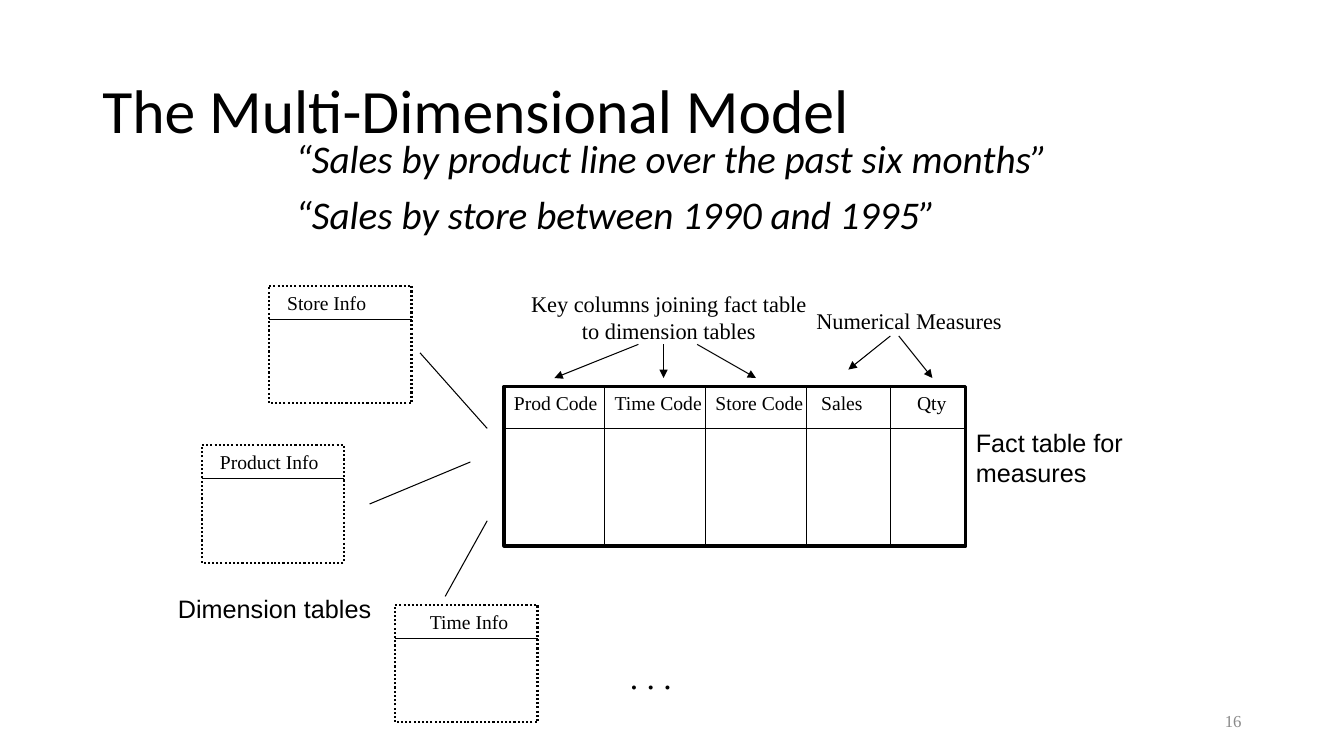
import pptx
import pptx.dml.color
import pptx.enum.dml
import pptx.enum.shapes
import pptx.enum.text
import pptx.util
from lxml import etree

Pt = pptx.util.Pt
ALIGN = pptx.enum.text.PP_ALIGN
ANCHOR = pptx.enum.text.MSO_ANCHOR
COLOURS = {"ink": "000000", "page_number": "898989"}

SERIF = "Times New Roman"
TITLE = {"name": "Calibri", "size": Pt(44)}
QUERY = {"name": "Calibri", "size": Pt(28), "italic": True}
HEADER = {"name": SERIF, "size": Pt(14)}
NOTE = {"name": SERIF, "size": Pt(16)}
ELLIPSIS = {"name": SERIF, "size": Pt(24)}
PAGE_NUMBER = {"name": SERIF, "size": Pt(12)}
CAPTION = {"name": "Arial", "size": Pt(18)}

# Fact table: left, top, width, height, then the inner column edges
FACT_TABLE = (360, 276, 330, 114)
HEADER_RULE = 306
COLUMN_EDGES = (432, 504, 576, 636)
HEADER_TABS = (72, 144, 219.5, 288)

DIMENSION_SIZE = (102, 84)
# Name, left, top, label offset, label width
DIMENSIONS = [
    ("Store Info", 192, 204, 6, 74),
    ("Product Info", 144, 318, 6, 88),
    ("Time Info", 282, 432, 18, 74),
]
JOINS = [(300, 252, 348, 306), (264, 360, 336, 330), (318, 426, 348, 372)]
ARROWS = [
    (636, 240, 606, 264),
    (642, 240, 666, 270),
    (456, 246, 396, 270),
    (474, 246, 474, 270),
    (498, 246, 540, 270),
]


def colour(name):
    return pptx.dml.color.RGBColor.from_string(COLOURS[name])


def add_text(slide, box, lines, font, ink="ink", wrap=False,
             anchor=ANCHOR.TOP, tabs=(), hanging=0, **paragraph_format):
    shape = slide.shapes.add_textbox(*map(Pt, box))
    frame = shape.text_frame
    frame.word_wrap = wrap
    frame.vertical_anchor = anchor
    if not wrap:
        frame.auto_size = pptx.enum.text.MSO_AUTO_SIZE.SHAPE_TO_FIT_TEXT
    for index, line in enumerate(lines):
        paragraph = frame.paragraphs[0] if index == 0 else frame.add_paragraph()
        paragraph.text = line
        set_indent_and_tabs(paragraph, hanging, tabs)
        for attribute, value in paragraph_format.items():
            if index or attribute != "space_before":
                setattr(paragraph, attribute, value)
        for run in paragraph.runs:
            for attribute, value in font.items():
                setattr(run.font, attribute, value)
            run.font.color.rgb = colour(ink)


def set_indent_and_tabs(paragraph, hanging, tabs):
    properties = paragraph._p.get_or_add_pPr()
    if hanging:
        properties.set("marL", str(Pt(hanging)))
        properties.set("indent", str(-Pt(hanging)))
    if tabs:
        namespace = "{" + properties.nsmap["a"] + "}"
        tab_list = etree.SubElement(properties, namespace + "tabLst")
        for position in tabs:
            etree.SubElement(tab_list, namespace + "tab",
                             pos=str(Pt(position)), algn="l")


def add_outline(slide, box, width, dash=None):
    shape = slide.shapes.add_shape(
        pptx.enum.shapes.MSO_SHAPE.RECTANGLE, *map(Pt, box))
    shape.shadow.inherit = False
    shape.fill.background()
    shape.line.color.rgb = colour("ink")
    shape.line.width = Pt(width)
    if dash:
        shape.line.dash_style = dash


def add_line(slide, ends, arrow=False):
    connector = slide.shapes.add_connector(
        pptx.enum.shapes.MSO_CONNECTOR.STRAIGHT, *map(Pt, ends))
    connector.line.color.rgb = colour("ink")
    connector.line.width = Pt(0.75)
    properties = connector._element.spPr
    namespace = "{" + properties.nsmap["a"] + "}"
    if arrow:
        etree.SubElement(connector.line._get_or_add_ln(),
                         namespace + "tailEnd", type="triangle")
    etree.SubElement(properties, namespace + "effectLst")


def add_fact_table(slide):
    left, top, width, height = FACT_TABLE
    add_outline(slide, FACT_TABLE, 2.25)
    add_text(slide, (left, top, 374, 24),
             ["Prod Code\tTime Code\tStore Code\tSales\tQty"],
             HEADER, tabs=HEADER_TABS)
    add_line(slide, (left, HEADER_RULE, left + width, HEADER_RULE))
    for edge in COLUMN_EDGES:
        add_line(slide, (edge, top, edge, top + height))


def add_dimension_table(slide, name, left, top, label_offset, label_width):
    width, height = DIMENSION_SIZE
    # The "sysDot" preset dash
    add_outline(slide, (left, top, width, height), 1.5,
                pptx.enum.dml.MSO_LINE.ROUND_DOT)
    add_text(slide, (left + label_offset, top, label_width, 24), [name], HEADER)
    add_line(slide, (left, top + 24, left + width, top + 24))


def main():
    presentation = pptx.Presentation()
    presentation.slide_width = Pt(960)
    presentation.slide_height = Pt(540)
    slide = presentation.slides.add_slide(presentation.slide_layouts[6])

    add_text(slide, (66, 28.75, 828, 104.4), ["The Multi-Dimensional Model"],
             TITLE, wrap=True, anchor=ANCHOR.MIDDLE, line_spacing=0.9)
    add_text(slide, (678, 500.5, 216, 28.75), ["16"], PAGE_NUMBER,
             ink="page_number", wrap=True, anchor=ANCHOR.MIDDLE,
             alignment=ALIGN.RIGHT)
    add_text(slide, (204, 96, 636, 84),
             ["“Sales by product line over the past six months”",
              "“Sales by store between 1990 and 1995”"],
             QUERY, wrap=True, hanging=18, line_spacing=0.9,
             space_before=Pt(10))

    add_fact_table(slide)
    for dimension in DIMENSIONS:
        add_dimension_table(slide, *dimension)
    for ends in JOINS:
        add_line(slide, ends)
    for ends in ARROWS:
        add_line(slide, ends, arrow=True)

    add_text(slide, (576, 216, 147.6, 26.6), ["Numerical Measures"], NOTE)
    add_text(slide, (371.5, 204, 212.4, 46),
             ["Key columns joining fact table", "to dimension tables"],
             NOTE, alignment=ALIGN.CENTER)
    add_text(slide, (690, 301.7, 124.6, 50.4),
             ["Fact table for", "measures"], CAPTION)
    add_text(slide, (120, 420, 154, 28.8), ["Dimension tables"], CAPTION)
    add_text(slide, (442.8, 465, 44.6, 36), [". . ."], ELLIPSIS)

    presentation.save("out.pptx")


if __name__ == "__main__":
    main()
